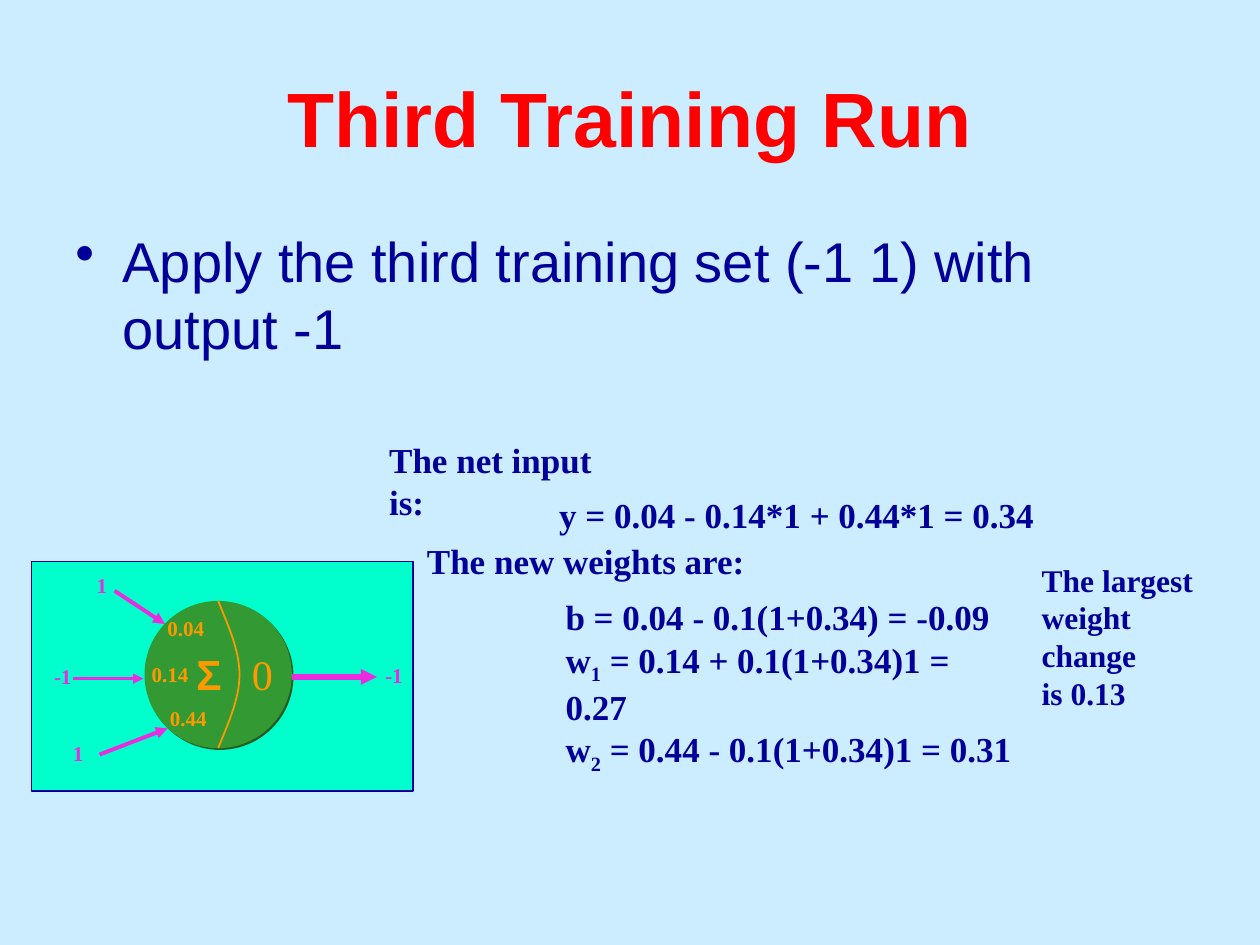
from lxml import etree
from pptx import Presentation
from pptx.dml.color import RGBColor
from pptx.enum.shapes import MSO_CONNECTOR as Connector, MSO_SHAPE as Shape
from pptx.enum.text import MSO_ANCHOR as Anchor, PP_ALIGN as Align
from pptx.oxml.ns import qn
from pptx.util import Pt

SKY = RGBColor(0xCC, 0xEC, 0xFF)
RED = RGBColor(0xFF, 0x00, 0x00)
NAVY = RGBColor(0x00, 0x00, 0x99)
AQUA = RGBColor(0x00, 0xFF, 0xCC)
GREEN = RGBColor(0x33, 0x99, 0x33)
DARK_GREEN = RGBColor(0x1E, 0x5B, 0x1E)
ORANGE = RGBColor(0xFF, 0x99, 0x00)
MAGENTA = RGBColor(0xEC, 0x2A, 0xDE)
SANS, SERIF = "Arial", "Times New Roman"


def add_text(slide, box, paragraphs, size, color, bold=True, font=SERIF, wrap=False):
    """Each paragraph is a list of runs; every second run is a subscript."""
    shape = slide.shapes.add_textbox(*map(Pt, box))
    frame = shape.text_frame
    frame.word_wrap = wrap
    for index, runs in enumerate(paragraphs):
        paragraph = frame.paragraphs[0] if index == 0 else frame.add_paragraph()
        for position, text in enumerate(runs):
            run = paragraph.add_run()
            run.text = text
            if position % 2:
                run.font._element.set("baseline", "-25000")
        paragraph.font.name = font
        paragraph.font.size = Pt(size)
        paragraph.font.bold = bold
        paragraph.font.color.rgb = color
    return frame


def add_title(slide, box):
    frame = add_text(slide, box, [["Third Training Run"]], 44, RED, font=SANS, wrap=True)
    frame.vertical_anchor = Anchor.MIDDLE
    frame.paragraphs[0].alignment = Align.CENTER


def add_bullet(slide, box):
    frame = add_text(slide, box, [[]], 32, NAVY, bold=False, font=SANS, wrap=True)
    paragraph = frame.paragraphs[0]
    paragraph.add_run().text = "Apply the third training set (-1 1) with output -1"
    properties = paragraph._p.get_or_add_pPr()
    properties.set("marL", str(Pt(27)))
    properties.set("indent", str(Pt(-27)))
    bullet = etree.Element(qn("a:buChar"), char="•")
    properties.insert(0, bullet)


def add_arrow(slide, start, end, width):
    arrow = slide.shapes.add_connector(Connector.STRAIGHT, *map(Pt, start + end))
    arrow.line.color.rgb = MAGENTA
    arrow.line.width = Pt(width)
    etree.SubElement(arrow.line._get_or_add_ln(), qn("a:tailEnd"), type="triangle")
    etree.SubElement(arrow._element.spPr, qn("a:effectLst"))


def add_neuron_body(slide, left, top, diameter):
    circle = slide.shapes.add_shape(Shape.OVAL, *map(Pt, (left, top, diameter, diameter)))
    circle.fill.solid()
    circle.fill.fore_color.rgb = GREEN
    circle.line.fill.background()

    # Hard shadow to the lower right
    circle.shadow.inherit = False
    effects = circle._element.spPr.find(qn("a:effectLst"))
    shadow = etree.SubElement(effects, qn("a:outerShdw"), dist=str(Pt(1.4)), dir="2700000")
    etree.SubElement(shadow, qn("a:srgbClr"), val=str(DARK_GREEN))

    # Bowed divider: a cubic curve to the middle, then mirrored
    radius = diameter / 2
    controls = [(0, 0), (5.8, 14.4), (12.2, 28.1), (12.2, radius)]
    steps = 16
    upper = []
    for step in range(steps + 1):
        t = step / steps
        weights = ((1 - t) ** 3, 3 * t * (1 - t) ** 2, 3 * t * t * (1 - t), t ** 3)
        upper.append([sum(w * c[axis] for w, c in zip(weights, controls)) for axis in (0, 1)])
    lower = [(x, diameter - y) for x, y in reversed(upper[:-1])]
    points = [(Pt(left + radius + x), Pt(top + y)) for x, y in upper + lower]
    builder = slide.shapes.build_freeform(*points[0])
    builder.add_line_segments(points[1:], close=False)
    divider = builder.convert_to_shape()
    divider.shadow.inherit = False
    divider.fill.background()
    divider.line.color.rgb = ORANGE
    divider.line.width = Pt(1)


def add_neuron_diagram(slide, box):
    left, top, width, height = box
    panel = slide.shapes.add_shape(Shape.RECTANGLE, *map(Pt, box))
    panel.shadow.inherit = False
    panel.fill.solid()
    panel.fill.fore_color.rgb = AQUA
    panel.line.color.rgb = NAVY
    panel.line.width = Pt(0.75)

    add_neuron_body(slide, left + 64.6, top + 22.4, 84.2)

    # Input arrows, then the output arrow
    for x1, y1, x2, y2, line_width in [
        (47.5, 16.6, 76.3, 35.6, 2.25),
        (23.8, 66.8, 64, 66.8, 1.5),
        (38.9, 110.2, 77.8, 95.2, 2.25),
        (149, 65.8, 197.3, 65.8, 3),
    ]:
        add_arrow(slide, (left + x1, top + y1), (left + x2, top + y2), line_width)

    # Weights, inputs and output
    for text, x, y, label_width, color in [
        ("0.04", 70.6, 27.4, 35.3, ORANGE),
        ("0.14", 61.6, 53.3, 35.3, ORANGE),
        ("0.44", 72, 78.5, 35.3, ORANGE),
        ("1", 30.2, 2.9, 20.2, MAGENTA),
        ("-1", 5.8, 54.5, 24.5, MAGENTA),
        ("1", 16.6, 98.9, 20.2, MAGENTA),
        ("-1", 195.1, 54, 24.5, MAGENTA),
    ]:
        add_text(slide, (left + x, top + y, label_width, 21.6), [[text]], 12, color)

    # Sum and its result
    add_text(slide, (left + 87.1, top + 46.1, 28, 36), [["Σ"]], 24, ORANGE, font=SANS)
    add_text(slide, (left + 118.8, top + 46.1, 26, 36), [["0"]], 24, ORANGE, bold=False)


def add_calculation(slide, box):
    left, top, width, height = box
    weights = [
        ["b = 0.04 - 0.1(1+0.34) = -0.09"],
        ["w", "1", " = 0.14 + 0.1(1+0.34)1 = 0.27"],
        ["w", "2", " = 0.44 - 0.1(1+0.34)1 = 0.31"],
    ]
    for x, y, text_width, text_height, paragraphs in [
        (0, 0, 154.8, 31.7, [["The net input is:"]]),
        (97.2, 31.7, 285.8, 31.7, [["y = 0.04 - 0.14*1 + 0.44*1 = 0.34"]]),
        (21.6, 57.6, 196.6, 31.7, [["The new weights are:"]]),
        (100.8, 90, 273.6, 85.7, weights),
    ]:
        add_text(slide, (left + x, top + y, text_width, text_height), paragraphs, 20, NAVY)


def add_remark(slide, box):
    add_text(slide, box, [["The largest weight change"], ["is 0.13"]], 18, NAVY, wrap=True)


def main():
    presentation = Presentation()
    presentation.slide_width, presentation.slide_height = Pt(720), Pt(540)
    slide = presentation.slides.add_slide(presentation.slide_layouts[6])
    slide.background.fill.solid()
    slide.background.fill.fore_color.rgb = SKY

    add_title(slide, (36, 21.6, 648, 90))
    add_bullet(slide, (36, 126, 648, 106))
    add_neuron_diagram(slide, (18, 321, 218, 131))
    add_calculation(slide, (215.3, 247, 383, 176))
    add_remark(slide, (588.2, 316.8, 114.5, 93.6))
    presentation.save("out.pptx")


if __name__ == "__main__":
    main()
